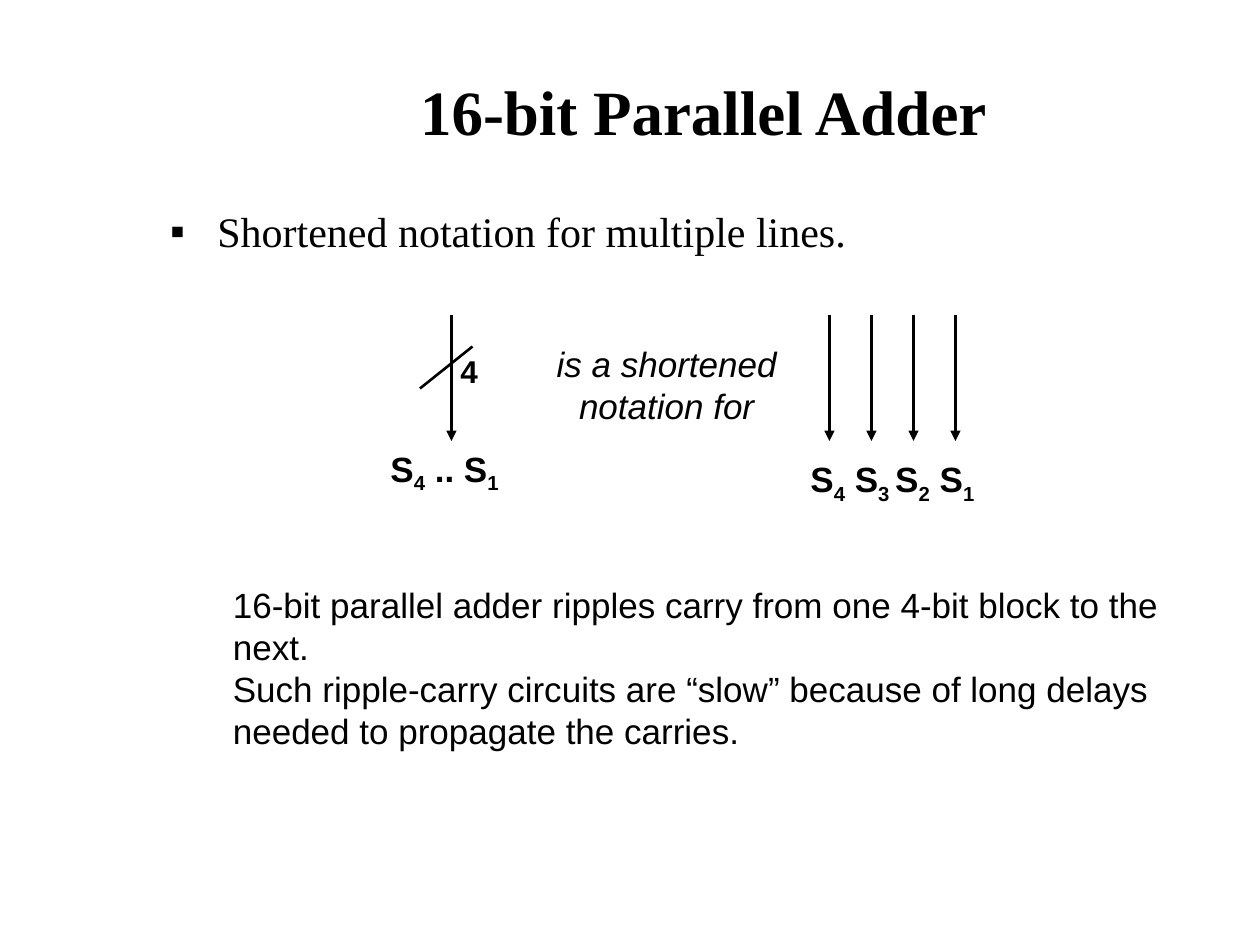
from dataclasses import dataclass

from lxml import etree
from pptx import Presentation
from pptx.dml.color import RGBColor
from pptx.enum.shapes import MSO_CONNECTOR
from pptx.enum.text import MSO_ANCHOR, MSO_AUTO_SIZE, PP_ALIGN
from pptx.oxml.ns import qn
from pptx.util import Pt

STRAIGHT = MSO_CONNECTOR.STRAIGHT
TOP, MIDDLE = MSO_ANCHOR.TOP, MSO_ANCHOR.MIDDLE
FIXED = MSO_AUTO_SIZE.NONE
LEFT, CENTER = PP_ALIGN.LEFT, PP_ALIGN.CENTER
BLACK = "000000"
SERIF, SANS = "Times New Roman", "Arial"


@dataclass(frozen=True)
class Label:
    """Text at a place in points; underscores enclose subscripts."""
    left: float
    top: float
    width: float
    height: float
    lines: tuple[str, ...]
    size: float = 20
    face: str = SANS
    bold: bool = False
    italic: bool = False
    align: PP_ALIGN = LEFT
    anchor: MSO_ANCHOR = TOP


@dataclass(frozen=True)
class Wire:
    """A line between two points, with or without an arrowhead."""
    x1: float
    y1: float
    x2: float
    y2: float
    arrow: bool = True


def color(value: str) -> RGBColor:
    """Turn a hex string into a colour."""
    return RGBColor.from_string(value)


def write_label(shape, label: Label) -> None:
    """Place a shape and fill it with the label's formatted text."""
    shape.left, shape.top = Pt(label.left), Pt(label.top)
    shape.width, shape.height = Pt(label.width), Pt(label.height)
    frame = shape.text_frame
    frame.word_wrap = True
    frame.auto_size = FIXED
    frame.vertical_anchor = label.anchor
    for index, line in enumerate(label.lines):
        paragraph = frame.add_paragraph() if index else frame.paragraphs[0]
        paragraph.alignment = label.align
        paragraph.space_before = Pt(0)
        for position, part in enumerate(line.split("_")):
            if part:
                run = paragraph.add_run()
                run.text = part
                if position % 2:
                    run.font._element.set("baseline", "-25000")
        font = paragraph.font
        font.name, font.size = label.face, Pt(label.size)
        font.bold, font.italic = label.bold, label.italic
        font.color.rgb = color(BLACK)


def add_square_bullet(paragraph) -> None:
    """Give a paragraph a black square bullet with a hanging indent."""
    properties = paragraph._p.get_or_add_pPr()
    properties.set("marL", str(Pt(27)))
    properties.set("indent", str(-Pt(27)))
    bullet_color = etree.SubElement(properties, qn("a:buClr"))
    etree.SubElement(bullet_color, qn("a:srgbClr"), val=BLACK)
    etree.SubElement(properties, qn("a:buFont"), typeface=SANS)
    etree.SubElement(properties, qn("a:buChar"), char="▪")


def draw_wire(slide, wire: Wire) -> None:
    """Draw one black wire."""
    connector = slide.shapes.add_connector(
        STRAIGHT, Pt(wire.x1), Pt(wire.y1), Pt(wire.x2), Pt(wire.y2))
    connector.line.color.rgb = color(BLACK)
    connector.line.width = Pt(1.5)
    if wire.arrow:
        etree.SubElement(connector.line._get_or_add_ln(), qn("a:tailEnd"), type="triangle")
    etree.SubElement(connector._element.spPr, qn("a:effectLst"))


TITLE = Label(96, 18, 612, 90, ("16-bit Parallel Adder",), 36, SERIF,
              bold=True, align=CENTER, anchor=MIDDLE)
TOPIC = Label(90, 114, 612, 42, ("Shortened notation for multiple lines.",), 24, SERIF)
LABELS = (
    Label(126, 330, 576, 102, (
        "16-bit parallel adder ripples carry from one 4-bit block to the next.",
        "Such ripple-carry circuits are “slow” because of long delays "
        "needed to propagate the carries.")),
    Label(256, 197.5, 24, 29, ("4",), 18, bold=True),
    Label(216, 252, 90, 31, ("S_4_ .. S_1_",), bold=True),
    Label(456, 258, 114, 31, ("S_4_ S_3 _S_2_ S_1_",), bold=True),
    Label(306, 192, 150, 55.5, ("is a shortened notation for",), italic=True, align=CENTER),
)
BUS_X = 258
SINGLE_WIRES_X = range(474, 547, 24)
WIRES = [Wire(x, 180, x, 252) for x in (BUS_X, *SINGLE_WIRES_X)]
BUS_SLASH = Wire(270, 198, 240, 222, arrow=False)


def main() -> None:
    """Build and save the slide."""
    deck = Presentation()
    deck.slide_width, deck.slide_height = Pt(720), Pt(540)
    slide = deck.slides.add_slide(deck.slide_layouts[1])
    write_label(slide.shapes.title, TITLE)
    topic = slide.placeholders[1]
    add_square_bullet(topic.text_frame.paragraphs[0])
    write_label(topic, TOPIC)
    for wire in (*WIRES, BUS_SLASH):
        draw_wire(slide, wire)
    for label in LABELS:
        write_label(slide.shapes.add_textbox(0, 0, 0, 0), label)
    deck.save("out.pptx")


if __name__ == "__main__":
    main()
